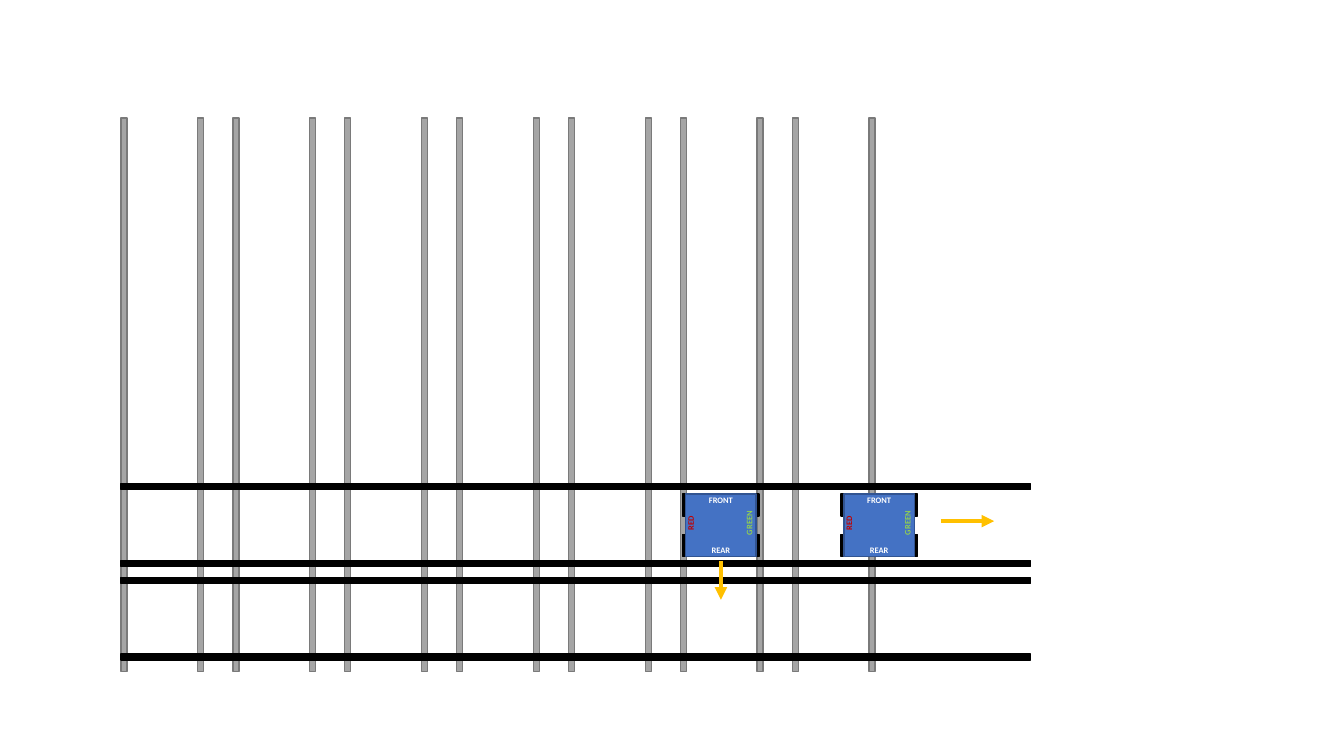
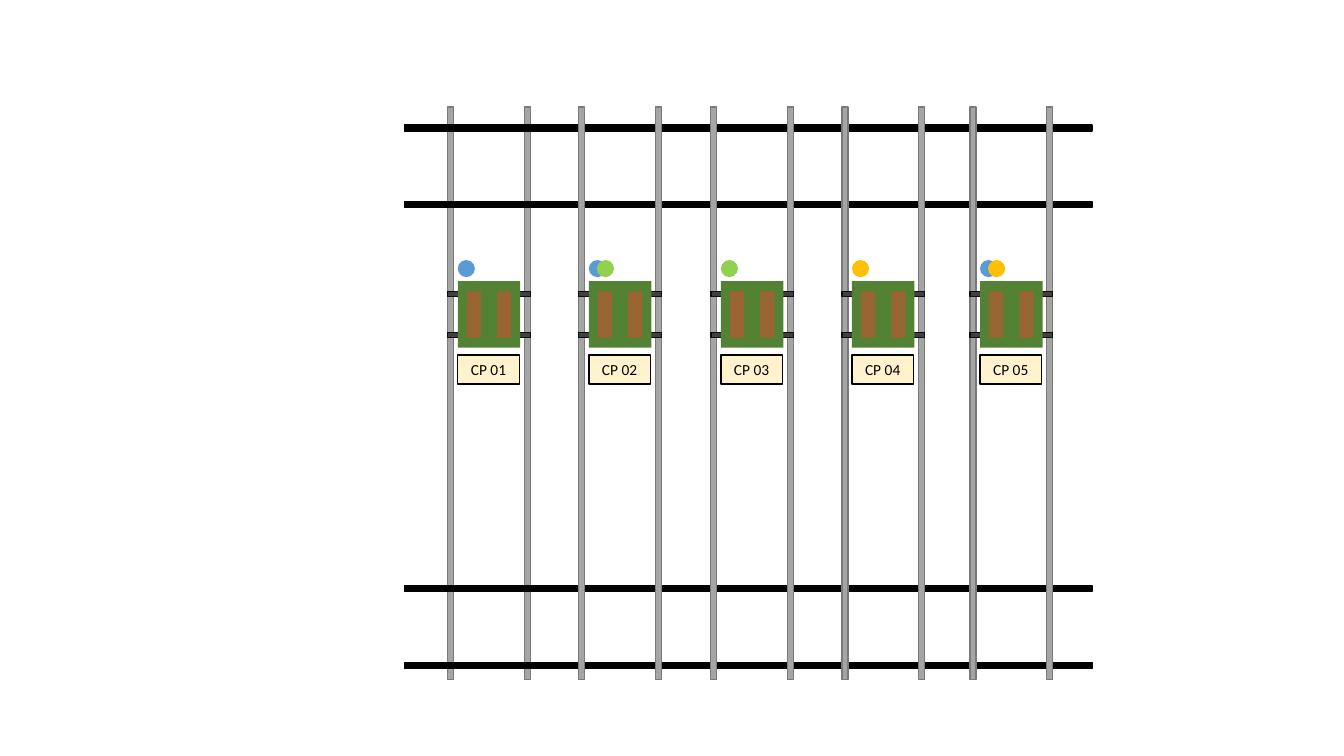
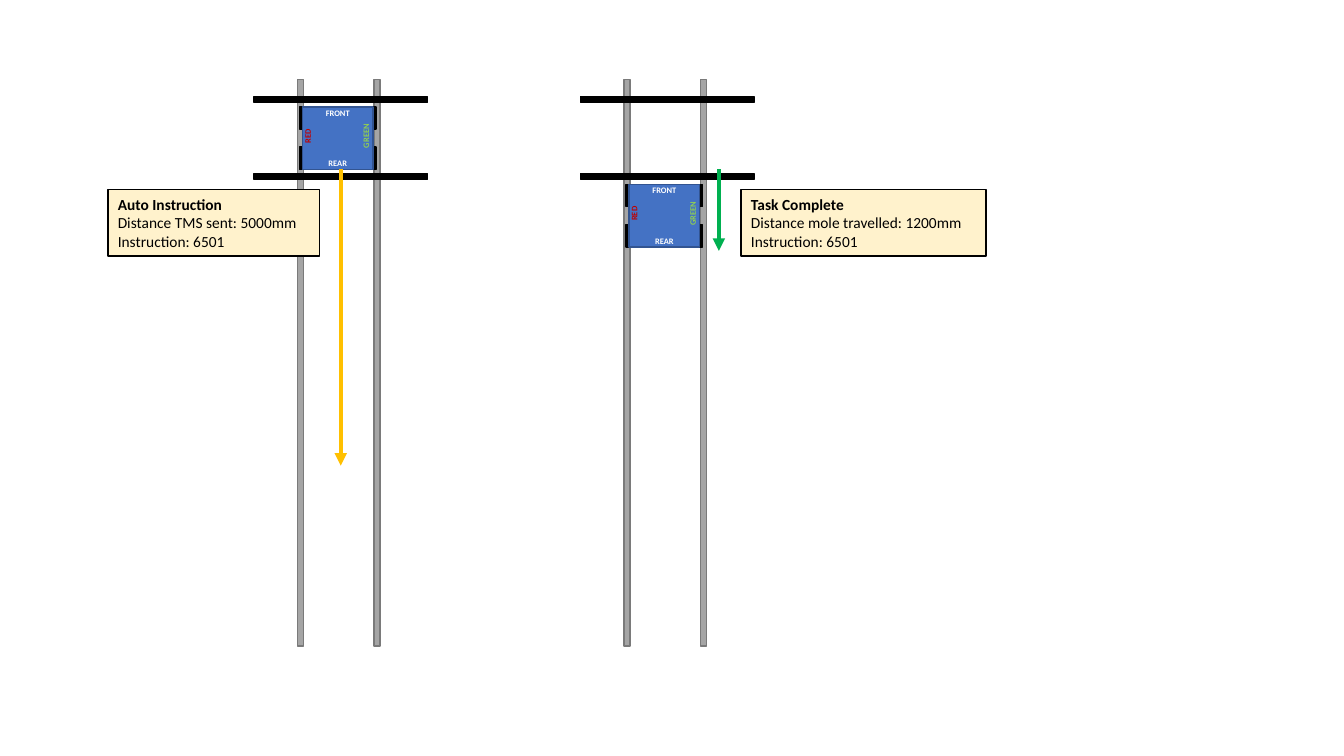
"""Build three track-layout slides with moles, pallets and instructions."""
import lxml.etree
import pptx
import pptx.dml.color
import pptx.enum.shapes
import pptx.enum.text
import pptx.oxml.ns
import pptx.util

Inches = pptx.util.Inches
Pt = pptx.util.Pt
RGBColor = pptx.dml.color.RGBColor
SHAPE = pptx.enum.shapes.MSO_SHAPE
ALIGN = pptx.enum.text.PP_ALIGN
ANCHOR = pptx.enum.text.MSO_ANCHOR
AUTO_SIZE = pptx.enum.text.MSO_AUTO_SIZE
qn = pptx.oxml.ns.qn

BLACK = RGBColor(0x00, 0x00, 0x00)
WHITE = RGBColor(0xFF, 0xFF, 0xFF)
RAIL_GREY = RGBColor(0xA5, 0xA5, 0xA5)
RAIL_EDGE = RGBColor(0x7A, 0x7A, 0x7A)
MOLE_BLUE = RGBColor(0x44, 0x72, 0xC4)
MOLE_EDGE = RGBColor(0x32, 0x54, 0x91)
AXLE_GREY = RGBColor(0x40, 0x40, 0x40)
AXLE_EDGE = RGBColor(0x0D, 0x0D, 0x0D)
PALLET_GREEN = RGBColor(0x54, 0x82, 0x35)
PLANK_BROWN = RGBColor(0x99, 0x66, 0x33)
NOTE_CREAM = RGBColor(0xFF, 0xF2, 0xCC)
SKY_BLUE = RGBColor(0x5B, 0x9B, 0xD5)
LIME = RGBColor(0x92, 0xD0, 0x50)
AMBER = RGBColor(0xFF, 0xC0, 0x00)
RED = RGBColor(0xC0, 0x00, 0x00)
GREEN = RGBColor(0x00, 0xB0, 0x50)

GAUGE = 0.76
RAIL = 0.06

SIDE_FONT = {"name": "Calibri", "size": Pt(6), "bold": True}
NOTE_FONT = {"name": "Calibri", "size": Pt(11), "bold": False}
SIDE_FRAME = {"word_wrap": True, "auto_size": AUTO_SIZE.SHAPE_TO_FIT_TEXT,
              "margin_left": 0, "margin_right": 0,
              "vertical_anchor": ANCHOR.TOP}
NOTE_FRAME = {"word_wrap": True, "auto_size": AUTO_SIZE.SHAPE_TO_FIT_TEXT,
              "vertical_anchor": ANCHOR.MIDDLE}


def apply_format(target, values):
    """Set each named format value on the target."""
    for name, value in values.items():
        setattr(target, name, value)


def add_block(shapes, box, fill, edge=None, kind=SHAPE.RECTANGLE):
    """Add a flat shape with an optional thin edge."""
    block = shapes.add_shape(kind, *map(Inches, box))
    block.shadow.inherit = False
    block.fill.solid()
    block.fill.fore_color.rgb = fill
    if edge is None:
        block.line.fill.background()
    else:
        block.line.color.rgb = edge
        block.line.width = Pt(1)
    return block


def write_line(paragraph, text, align, font, color):
    """Write one formatted line of text."""
    paragraph.alignment = align
    run = paragraph.add_run()
    run.text = text
    apply_format(run.font, font)
    run.font.color.rgb = color


def add_track(slide, left, top, length):
    """Add a vertical pair of grey rails."""
    track = slide.shapes.add_group_shape().shapes
    for offset in (0, GAUGE):
        add_block(track, (left + offset, top, RAIL, length), RAIL_GREY, RAIL_EDGE)


def add_cross_track(slide, left, top, length):
    """Add a horizontal pair of black rails."""
    track = slide.shapes.add_group_shape().shapes
    for offset in (0, GAUGE):
        add_block(track, (left, top + offset, length, RAIL), BLACK, BLACK)


def add_mole(slide, left, top):
    """Add a mole vehicle with wheels and named sides."""
    mole = slide.shapes.add_group_shape().shapes
    for across in (0.68, -0.03):
        for down in (0, 0.4):
            add_block(mole, (left + across, top + down, 0.05, 0.22), BLACK, BLACK)
    add_block(mole, (left, top, 0.7, 0.62), MOLE_BLUE, MOLE_EDGE)
    sides = (
        ("FRONT", 0.13, -0.04, 0, WHITE),
        ("REAR", 0.13, 0.46, 0, WHITE),
        ("GREEN", 0.41, 0.19, 270, LIME),
        ("RED", -0.17, 0.19, 270, RED),
    )
    for name, across, down, rotation, color in sides:
        side = mole.add_textbox(Inches(left + across), Inches(top + down),
                                Inches(0.44), Inches(0.2))
        side.rotation = rotation
        apply_format(side.text_frame, SIDE_FRAME)
        write_line(side.text_frame.paragraphs[0], name, ALIGN.CENTER, SIDE_FONT, color)


def add_arrow(slide, start, end, color):
    """Add a thick travel arrow."""
    arrow = slide.shapes.add_connector(
        pptx.enum.shapes.MSO_CONNECTOR.STRAIGHT, *map(Inches, start + end))
    arrow.line.color.rgb = color
    arrow.line.width = Pt(3)
    properties = arrow._element.spPr
    head = lxml.etree.SubElement(properties.find(qn("a:ln")), qn("a:tailEnd"))
    head.set("type", "triangle")
    lxml.etree.SubElement(properties, qn("a:effectLst"))


def add_note(slide, box, lines, align=ALIGN.LEFT, heading=False):
    """Add a cream note, with its first line bold if it is a heading."""
    frame = add_block(slide.shapes, box, NOTE_CREAM, BLACK).text_frame
    apply_format(frame, NOTE_FRAME)
    for number, line in enumerate(lines):
        paragraph = frame.add_paragraph() if number else frame.paragraphs[0]
        font = {**NOTE_FONT, "bold": heading and number == 0}
        write_line(paragraph, line, align, font, BLACK)


def add_pallet(slide, track_left):
    """Add a pallet with two axles and two planks across a track."""
    pallet = slide.shapes.add_group_shape().shapes
    for top in (3.3, 2.89):
        add_block(pallet, (track_left, top, 0.82, 0.05), AXLE_GREY, AXLE_EDGE)
    add_block(pallet, (track_left + 0.1, 2.79, 0.62, 0.66), PALLET_GREEN)
    for offset in (0.19, 0.49):
        add_block(pallet, (track_left + offset, 2.89, 0.14, 0.46), PLANK_BROWN)


def build_yard(slide):
    """Draw seven tracks, two cross tracks and two moving moles."""
    for number in range(7):
        add_track(slide, 1.2 + 1.11 * number, 1.17, 5.49)
    for top in (5.73, 4.8):
        add_cross_track(slide, 1.2, top, 9.02)
    add_mole(slide, 6.8, 4.9)
    add_arrow(slide, (7.15, 5.57), (7.15, 5.95), AMBER)
    add_mole(slide, 8.37, 4.9)
    add_arrow(slide, (9.33, 5.17), (9.86, 5.17), AMBER)


def build_pallets(slide):
    """Draw five numbered pallets with their colour marks."""
    stations = (
        (4.44, (SKY_BLUE,)),
        (5.74, (SKY_BLUE, LIME)),
        (7.05, (LIME,)),
        (8.35, (AMBER,)),
        (9.62, (SKY_BLUE, AMBER)),
    )
    for number, (left, marks) in enumerate(stations, 1):
        add_track(slide, left, 1.06, 5.68)
        if number == 1:
            for top in (5.81, 1.24):
                add_cross_track(slide, 4.01, top, 6.82)
        add_pallet(slide, left)
        for place, color in enumerate(marks):
            add_block(slide.shapes, (left + 0.1 + 0.08 * place, 2.58, 0.17, 0.17),
                      color, kind=SHAPE.OVAL)
        add_note(slide, (left + 0.1, 3.52, 0.61, 0.29),
                 [f"CP {number:02}"], ALIGN.CENTER)


def build_instruction(slide):
    """Compare the distance sent with the distance travelled."""
    scenes = (
        (2.95, 1.06, 3.38, 4.62, AMBER, 1.07, 2.1,
         ("Auto Instruction", "Distance TMS sent: 5000mm", "Instruction: 6501")),
        (6.19, 1.83, 7.13, 2.49, GREEN, 7.35, 2.43,
         ("Task Complete", "Distance mole travelled: 1200mm", "Instruction: 6501")),
    )
    for left, mole_top, arrow_x, arrow_end, color, note_left, note_width, lines in scenes:
        add_track(slide, left, 0.79, 5.62)
        add_cross_track(slide, left - 0.43, 0.96, 1.72)
        add_mole(slide, left + 0.05, mole_top)
        add_arrow(slide, (arrow_x, 1.68), (arrow_x, arrow_end), color)
        add_note(slide, (note_left, 1.88, note_width, 0.66), lines, heading=True)


def main():
    """Build and save the presentation."""
    deck = pptx.Presentation()
    deck.slide_width = Inches(13.33)
    deck.slide_height = Inches(7.5)
    for build in (build_yard, build_pallets, build_instruction):
        build(deck.slides.add_slide(deck.slide_layouts[6]))
    deck.save("out.pptx")


if __name__ == "__main__":
    main()
